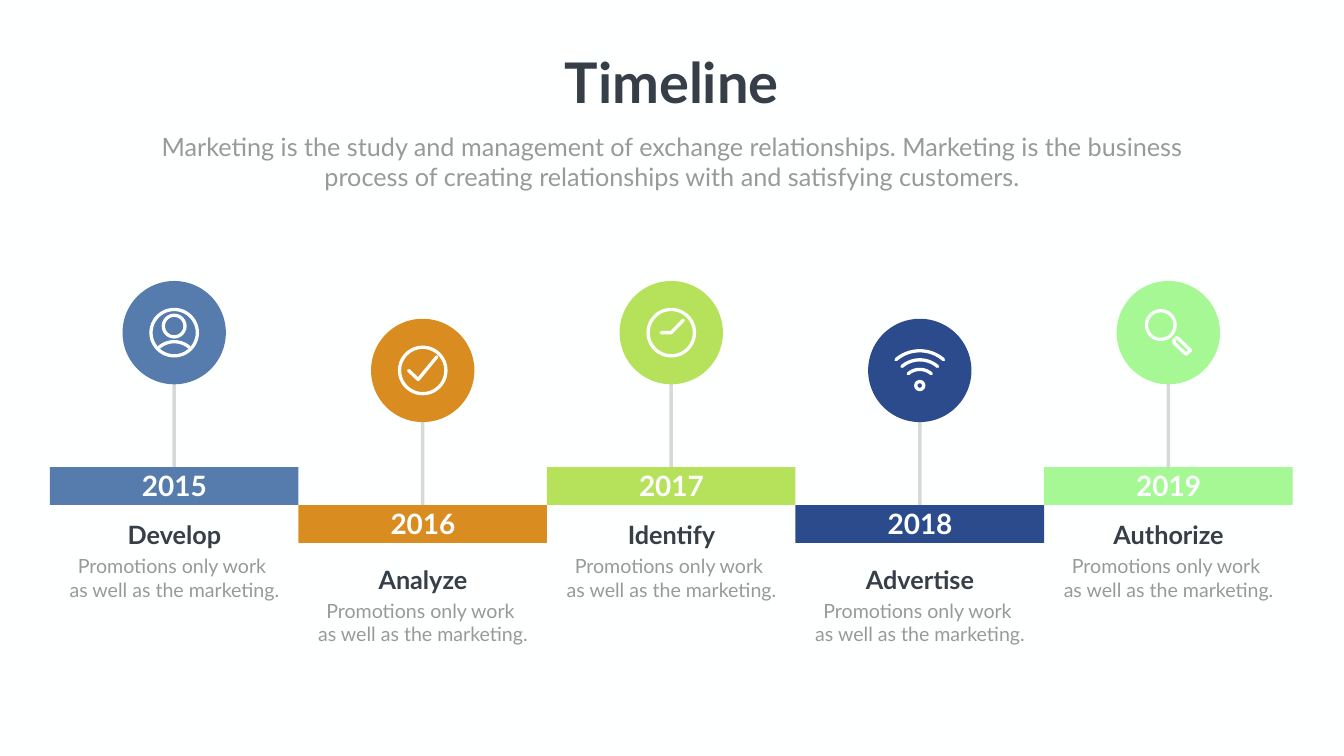
from math import cos, radians, sin

from lxml.etree import SubElement
from pptx import Presentation
from pptx.dml.color import RGBColor
from pptx.enum.shapes import MSO_CONNECTOR, MSO_SHAPE
from pptx.enum.text import PP_ALIGN
from pptx.oxml.ns import qn
from pptx.util import Inches, Pt

WHITE, INK, GRAY, PIN_GRAY = "FEFFFF", "363E48", "999999", "808080"
LEFT, STEP_W, BAR_H = 0.99, 4.93, 0.75
UPPER_BAR, UPPER_LABEL, LABEL_DROP = 9.27, 10.26, 0.88
BADGE_D, BADGE_RISE = 2.05, 2.67
STROKE = 4.7
DETAIL = ["Promotions only work ", "as well as the marketing."]


def color(hex_code):
    return RGBColor.from_string(hex_code)


def add_text(slide, lines, left, top, width, height, *, size, ink, bold=False, wrap=True):
    frame = slide.shapes.add_textbox(
        Inches(left), Inches(top), Inches(width), Inches(height)).text_frame
    frame.word_wrap = wrap
    for index, line in enumerate(lines):
        paragraph = frame.paragraphs[0] if index == 0 else frame.add_paragraph()
        paragraph.alignment = PP_ALIGN.CENTER
        run = paragraph.add_run()
        run.text = line
        run.font.name, run.font.size, run.font.bold = "Lato", Pt(size), bold
        run.font.color.rgb = color(ink)


def add_solid(slide, preset, left, top, width, height, fill):
    shape = slide.shapes.add_shape(
        preset, Inches(left), Inches(top), Inches(width), Inches(height))
    shape.shadow.inherit = False
    shape.fill.solid()
    shape.fill.fore_color.rgb = color(fill)
    shape.line.fill.background()
    return shape


def outline(shape):
    """Leave only a white, round-capped stroke."""
    shape.shadow.inherit = False
    shape.fill.background()
    shape.line.color.rgb = color(WHITE)
    shape.line.width = Pt(STROKE)
    stroke = shape.line._get_or_add_ln()
    stroke.set("cap", "rnd")
    SubElement(stroke, qn("a:round"))


def add_ring(slide, x, y, diameter):
    outline(slide.shapes.add_shape(
        MSO_SHAPE.OVAL, Inches(x - diameter / 2), Inches(y - diameter / 2),
        Inches(diameter), Inches(diameter)))


def add_stroke(slide, x, y, offsets, close=False):
    """Draw a path through offsets from the badge centre."""
    points = [(Inches(x + dx), Inches(y + dy)) for dx, dy in offsets]
    builder = slide.shapes.build_freeform(*points[0])
    builder.add_line_segments(points[1:], close=close)
    outline(builder.convert_to_shape())


def arch(center_dy, radius, half_angle=41):
    """Offsets along an arc that bulges upwards."""
    angles = [radians(half_angle * k / 12) for k in range(-12, 13)]
    return [(radius * sin(a), center_dy - radius * cos(a)) for a in angles]


def draw_person(slide, x, y):
    add_ring(slide, x, y, 0.92)
    add_ring(slide, x, y - 0.13, 0.43)
    add_stroke(slide, x, y, arch(0.64, 0.46))


def draw_check(slide, x, y):
    add_ring(slide, x, y, 0.92)
    add_stroke(slide, x, y, [(-0.28, 0), (-0.09, 0.18), (0.28, -0.27)])


def draw_clock(slide, x, y):
    add_ring(slide, x, y, 0.92)
    add_stroke(slide, x, y, [(-0.2, 0), (0, 0), (0.24, -0.25)])


def draw_signal(slide, x, y):
    for radius in (0.72, 0.54, 0.35):
        add_stroke(slide, x, y, arch(0.33, radius))
    add_ring(slide, x, y + 0.3, 0.16)


def draw_magnifier(slide, x, y):
    add_ring(slide, x - 0.15, y - 0.15, 0.57)
    add_stroke(slide, x, y, [(0.11, 0.16), (0.16, 0.1), (0.2, 0.12),
                             (0.44, 0.35), (0.35, 0.43), (0.12, 0.21)], close=True)


def add_pin(slide, bar, x, badge_y):
    pin = slide.shapes.add_connector(
        MSO_CONNECTOR.STRAIGHT, Inches(x), bar.top, Inches(x), Inches(badge_y))
    pin.begin_connect(bar, 0)
    pin.line.color.rgb = color(PIN_GRAY)
    pin.line.width = Pt(5)
    rgb = pin.line._get_or_add_ln().find(".//" + qn("a:srgbClr"))
    SubElement(rgb, qn("a:alpha")).set("val", "30000")
    SubElement(pin._element.spPr, qn("a:effectLst"))


def add_step(slide, index, year, title, fill, draw_icon):
    lowered = index % 2
    left = LEFT + index * STEP_W
    x = left + STEP_W / 2
    bar_top = UPPER_BAR + lowered * BAR_H
    badge_y = bar_top - BADGE_RISE
    label_top = UPPER_LABEL + lowered * LABEL_DROP

    bar = add_solid(slide, MSO_SHAPE.RECTANGLE, left, bar_top, STEP_W, BAR_H, fill)
    add_pin(slide, bar, x, badge_y)
    add_solid(slide, MSO_SHAPE.OVAL, x - BADGE_D / 2, badge_y - BADGE_D / 2,
              BADGE_D, BADGE_D, fill)
    draw_icon(slide, x, badge_y)
    add_text(slide, [year], x - 1.3, bar_top - 0.02, 2.61, 0.77,
             size=40, ink=WHITE, bold=True)
    add_text(slide, [title], x - 1.3, label_top, 2.61, 0.71,
             size=36, ink=INK, bold=True)
    add_text(slide, DETAIL, left, label_top + 0.69, 4.94, 1.04, size=28, ink=GRAY)


def main():
    presentation = Presentation()
    presentation.slide_width, presentation.slide_height = Inches(26.66), Inches(15)
    slide = presentation.slides.add_slide(presentation.slide_layouts[6])
    slide.background.fill.solid()
    slide.background.fill.fore_color.rgb = color(WHITE)

    add_text(slide, ["Timeline"], 11.06, 0.9, 4.53, 1.45,
             size=80, ink=INK, bold=True, wrap=False)
    add_text(slide, ["Marketing is the study and management of exchange relationships. "
                     "Marketing is the business process of creating relationships "
                     "with and satisfying customers."],
             2.68, 2.55, 21.3, 1.31, size=36, ink=GRAY)

    steps = [
        ("2015", "Develop", "567BAD", draw_person),
        ("2016", "Analyze", "D98C20", draw_check),
        ("2017", "Identify", "B6E25B", draw_clock),
        ("2018", "Advertise", "2C4B8D", draw_signal),
        ("2019", "Authorize", "A6F894", draw_magnifier),
    ]
    for index, step in enumerate(steps):
        add_step(slide, index, *step)

    presentation.save("out.pptx")


if __name__ == "__main__":
    main()
